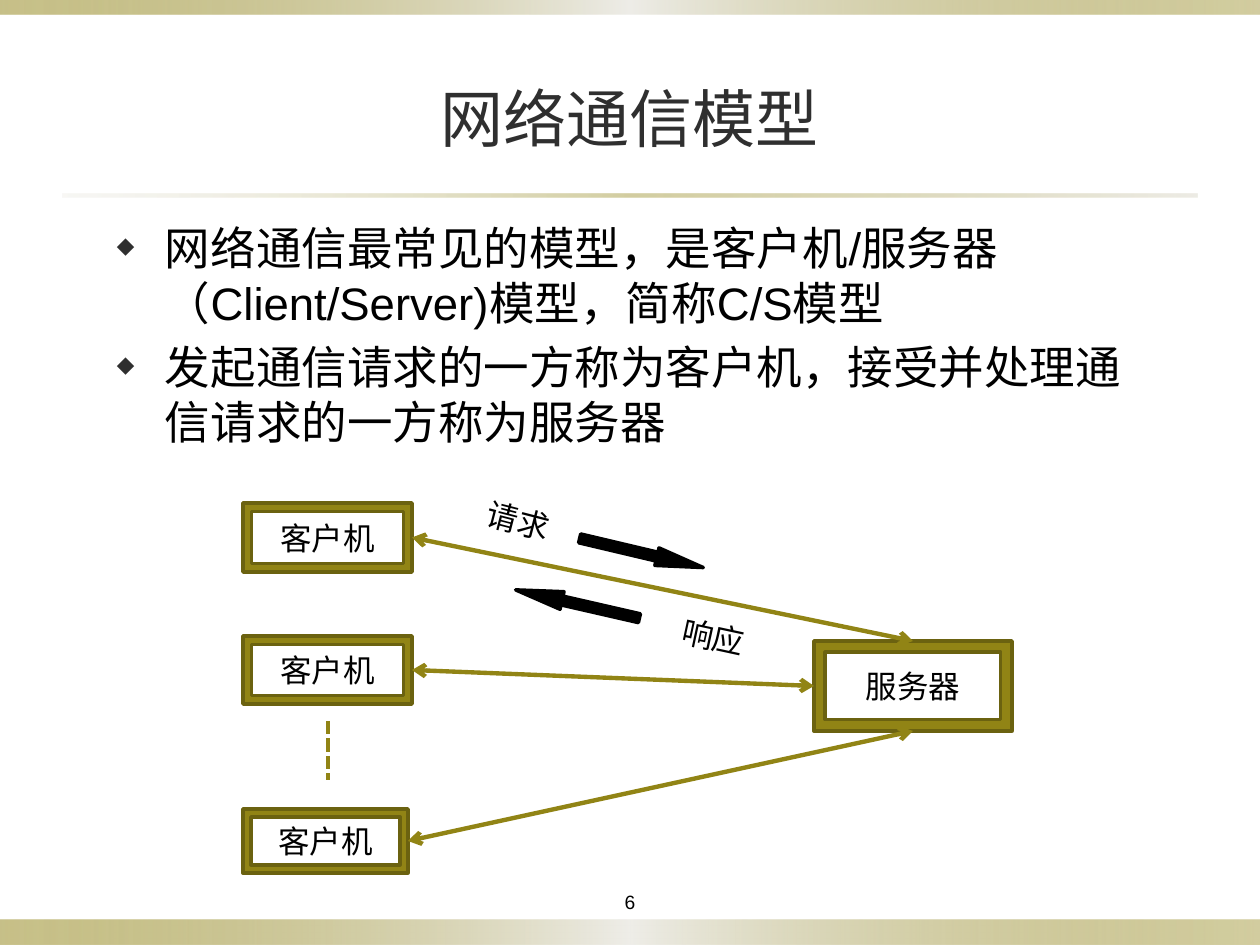
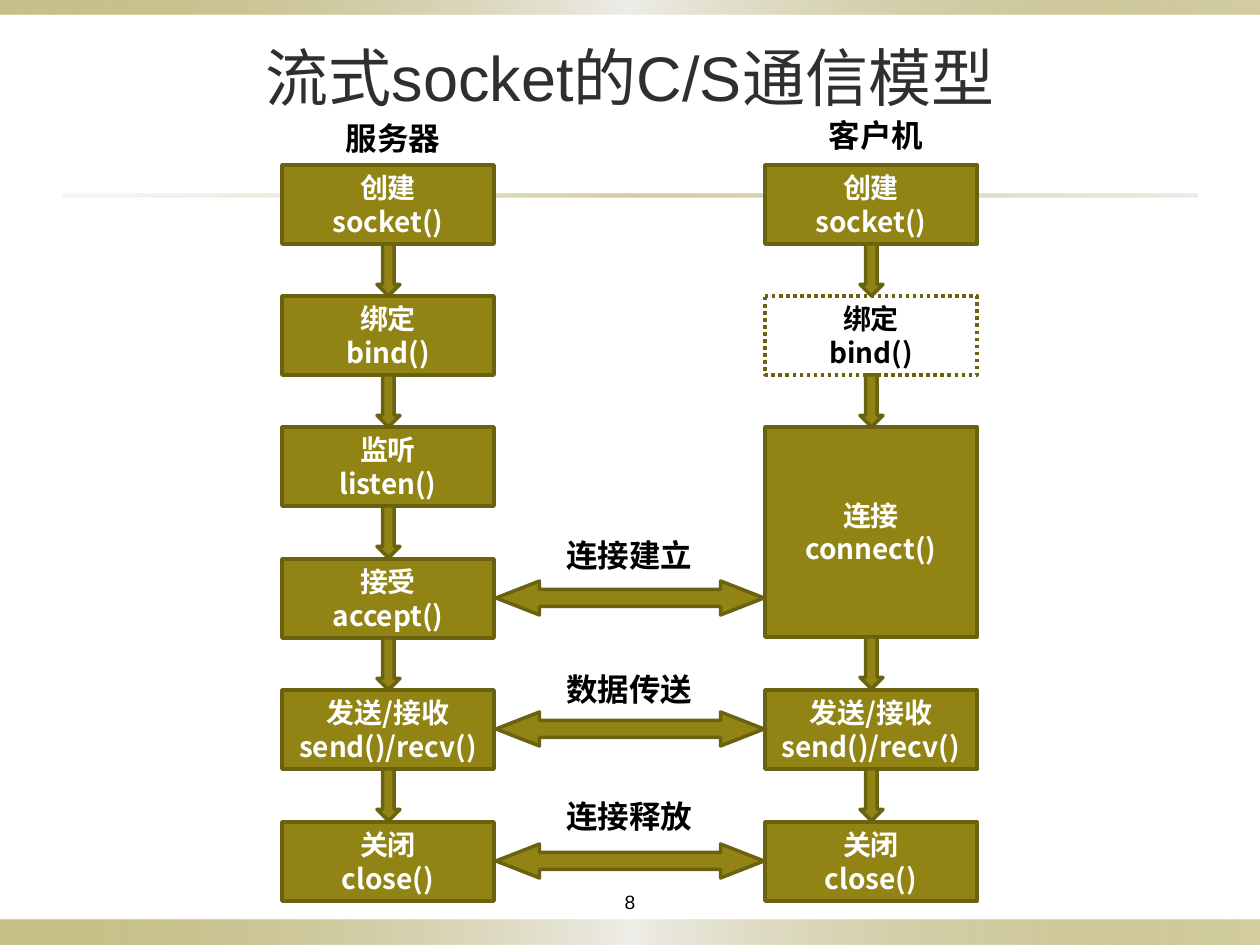
import lxml.etree
import pptx
import pptx.dml.color
import pptx.enum.dml
import pptx.enum.shapes
import pptx.enum.text
import pptx.oxml.ns
import pptx.util

RGB = pptx.dml.color.RGBColor
OLIVE = RGB(0x91, 0x84, 0x15)
DARK = RGB(0x6B, 0x62, 0x10)
PALE = RGB(0xEE, 0xED, 0xE8)
SAND = RGB(0xDC, 0xD9, 0xCC)
GRAY = RGB(0x2F, 0x2F, 0x2F)
BLACK = RGB(0, 0, 0)
WHITE = RGB(255, 255, 255)
BAND = [(0, OLIVE, 50), (50, PALE, 100), (100, OLIVE, 40)]
RULE = [(0, SAND, 20), (50, OLIVE, 40), (100, SAND, 50)]
NOTO = "Noto Sans CJK SC"
KIND = pptx.enum.shapes.MSO_SHAPE
DASH = pptx.enum.dml.MSO_LINE
ALIGN = pptx.enum.text.PP_ALIGN
ANCHOR = pptx.enum.text.MSO_ANCHOR
PITCH = 657 / 5
CELL_W, CELL_H = 212, 79


def px(*sizes):
    """Turn pixel lengths into EMU."""
    return [round(size * 914400 / 126) for size in sizes]


def node(root, tag, **attrs):
    """Append a drawing element to root."""
    return lxml.etree.SubElement(root, pptx.oxml.ns.qn("a:" + tag), attrs)


def write(frame, lines, size=18, font="Karla", color=BLACK, bold=False,
          align=ALIGN.CENTER, anchor=ANCHOR.MIDDLE, pitch=None, gap=0):
    """Fill a text frame with formatted lines."""
    frame.word_wrap = True
    frame.vertical_anchor = anchor
    frame.margin_left = frame.margin_right = 0
    frame.margin_top = frame.margin_bottom = 0
    for i, line in enumerate(lines):
        para = frame.add_paragraph() if i else frame.paragraphs[0]
        para.alignment = align
        para.space_before = pptx.util.Pt(gap)
        if pitch:
            para.line_spacing = pptx.util.Pt(pitch)
        run = para.add_run()
        run.text = line
        run.font.size = pptx.util.Pt(size)
        run.font.bold = bold
        run.font.color.rgb = color
        run.font.name = font
        node(run.font._element, "ea", typeface=NOTO)


def label(slide, box, lines, turn=0, **style):
    """Add a text box."""
    item = slide.shapes.add_textbox(*px(*box))
    item.rotation = turn
    write(item.text_frame, lines, **style)
    return item


def block(slide, kind, box, fill=OLIVE, edge=DARK, dash=None, turn=0):
    """Add a preset shape with fill and outline."""
    item = slide.shapes.add_shape(kind, *px(*box))
    item.shadow.inherit = False
    item.rotation = turn
    if fill is None:
        item.fill.background()
    else:
        item.fill.solid()
        item.fill.fore_color.rgb = fill
    item.line.color.rgb = edge
    item.line.width = pptx.util.Pt(2)
    if dash:
        item.line.dash_style = dash
    return item


def strip(slide, box, stops):
    """Add a bar with a translucent gradient."""
    bar = slide.shapes.add_shape(KIND.RECTANGLE, *px(*box))
    bar.shadow.inherit = False
    bar.line.fill.background()
    bar.fill.gradient()
    bar.fill.gradient_angle = 0
    ramp = bar.element.spPr.find(".//" + pptx.oxml.ns.qn("a:gsLst"))
    ramp.clear()
    for spot, color, alpha in stops:
        stop = node(ramp, "gs", pos=str(spot * 1000))
        tint = node(stop, "srgbClr", val=str(color))
        node(tint, "alpha", val=str(alpha * 1000))


def link(slide, ends, start=None, stop=None, dash=None):
    """Draw a line, with arrowheads where it joins shapes."""
    line = slide.shapes.add_connector(
        pptx.enum.shapes.MSO_CONNECTOR.STRAIGHT, *px(*ends))
    line.line.color.rgb = OLIVE
    line.line.width = pptx.util.Pt(2.5)
    if dash:
        line.line.dash_style = dash
    if start:
        line.begin_connect(*start)
        line.end_connect(*stop)
        edge = line.element.spPr.find(pptx.oxml.ns.qn("a:ln"))
        node(edge, "headEnd", type="arrow")
        node(edge, "tailEnd", type="arrow")
    node(line.element.spPr, "effectLst")


def base(deck, title, page, height):
    """Add a slide with bands, rule, title and page number."""
    slide = deck.slides.add_slide(deck.slide_layouts[6])
    strip(slide, (0, 920, 1260, 25), BAND)
    strip(slide, (0, 0, 1260, 15), BAND)
    strip(slide, (63, 194, 1134, 3), RULE)
    label(slide, (63, 38, 1134, height), [title],
          size=36, font="Arial", color=GRAY)
    label(slide, (567, 882, 126, 39), [str(page)], size=11, font="Arial")
    return slide


def points(slide, box, lines):
    """Add the bulleted body text."""
    body = label(slide, box, lines, size=26, font="Arial", align=ALIGN.LEFT,
                 anchor=ANCHOR.TOP, pitch=31.4, gap=5.2)
    inset = px(48)[0]
    for para in body.text_frame.paragraphs:
        props = para._p.get_or_add_pPr()
        props.set("marL", str(inset))
        props.set("indent", str(-inset))
        node(node(props, "buClr"), "srgbClr", val=str(GRAY))
        node(props, "buSzPct", val="50000")
        node(props, "buChar", char="◆")


def network(slide, left, top):
    """Draw clients joined to one server."""
    def host(name, x, y, wide, high):
        """Add a framed host."""
        item = block(slide, KIND.FRAME, (left + x, top + y, wide, high))
        write(item.text_frame, [name])
        return item

    clients = [host("客户机", 0, *size) for size in
               ((0, 169, 69), (133, 169, 68), (306, 165, 64))]
    server = host("服务器", 571, 138, 198, 90)
    link(slide, (left + 85, top + 218, left + 85, top + 277),
         dash=DASH.SQUARE_DOT)
    for client, side in zip(clients, (0, 1, 2)):
        link(slide, (0, 0, 1, 1), (client, 3), (server, side))
    for name, x, y, turn in (("请求", 211, 0, 14.5), ("响应", 406, 116, 12.2)):
        label(slide, (left + x, top + y, 129, 35), [name], turn)
    for x, y, turn in ((335, 41, 13.3), (271, 92, 192.9)):
        arrow = block(slide, KIND.RIGHT_ARROW, (left + x, top + y, 127, 18),
                      BLACK, BLACK, turn=turn)
        arrow.adjustments[1] = 2.64


def column(slide, left, top, name, lift, steps):
    """Draw one side's steps, each as text, call, row, span and optional."""
    label(slide, (left + 5, top - lift, CELL_W, 50), [name],
          font=NOTO, bold=True)
    for i, (text, call, row, span, option) in enumerate(steps):
        y = top + int(row * PITCH)
        high = CELL_H + int((span - 1) * PITCH)
        item = block(slide, KIND.FLOWCHART_PROCESS, (left, y, CELL_W, high),
                     None if option else OLIVE,
                     dash=DASH.ROUND_DOT if option else None)
        write(item.text_frame, [text, call], size=16, font=NOTO, bold=True,
              color=BLACK if option else WHITE, pitch=19)
        if i < len(steps) - 1:
            block(slide, KIND.DOWN_ARROW, (left + 95, y + high, 23, 52))


def bridge(slide, left, top, items):
    """Draw labelled double arrows between the columns."""
    for name, row, lift in items:
        y = top + int(row * PITCH) + 22
        arrow = block(slide, KIND.LEFT_RIGHT_ARROW, (left, y, 268, 34))
        arrow.adjustments[1] = 1.28
        label(slide, (left + 39, y - lift, 189, 50), [name], bold=True)


def main():
    """Build both slides and save them."""
    deck = pptx.Presentation()
    deck.slide_width, deck.slide_height = px(1260, 945)

    slide = base(deck, "网络通信模型", 6, 158)
    points(slide, (117, 220, 1011, 260), [
        "网络通信最常见的模型，是客户机/服务器（Client/Server)模型，简称C/S模型",
        "发起通信请求的一方称为客户机，接受并处理通信请求的一方称为服务器"])
    network(slide, 243, 503)

    slide = base(deck, "流式socket的C/S通信模型", 8, 77)
    first = ("创建", "socket()", 0, 1, False)
    last = [("发送/接收", "send()/recv()", 4, 1, False),
            ("关闭", "close()", 5, 1, False)]
    column(slide, 282, 165, "服务器", 52, [
        first, ("绑定", "bind()", 1, 1, False),
        ("监听", "listen()", 2, 1, False),
        ("接受", "accept()", 3, 1, False)] + last)
    bridge(slide, 496, 165, [("连接建立", 3, 51), ("数据传送", 4, 48),
                             ("连接释放", 5, 53)])
    column(slide, 765, 165, "客户机", 55, [
        first, ("绑定", "bind()", 1, 1, True),
        ("连接", "connect()", 2, 2, False)] + last)
    deck.save("out.pptx")


if __name__ == "__main__":
    main()
